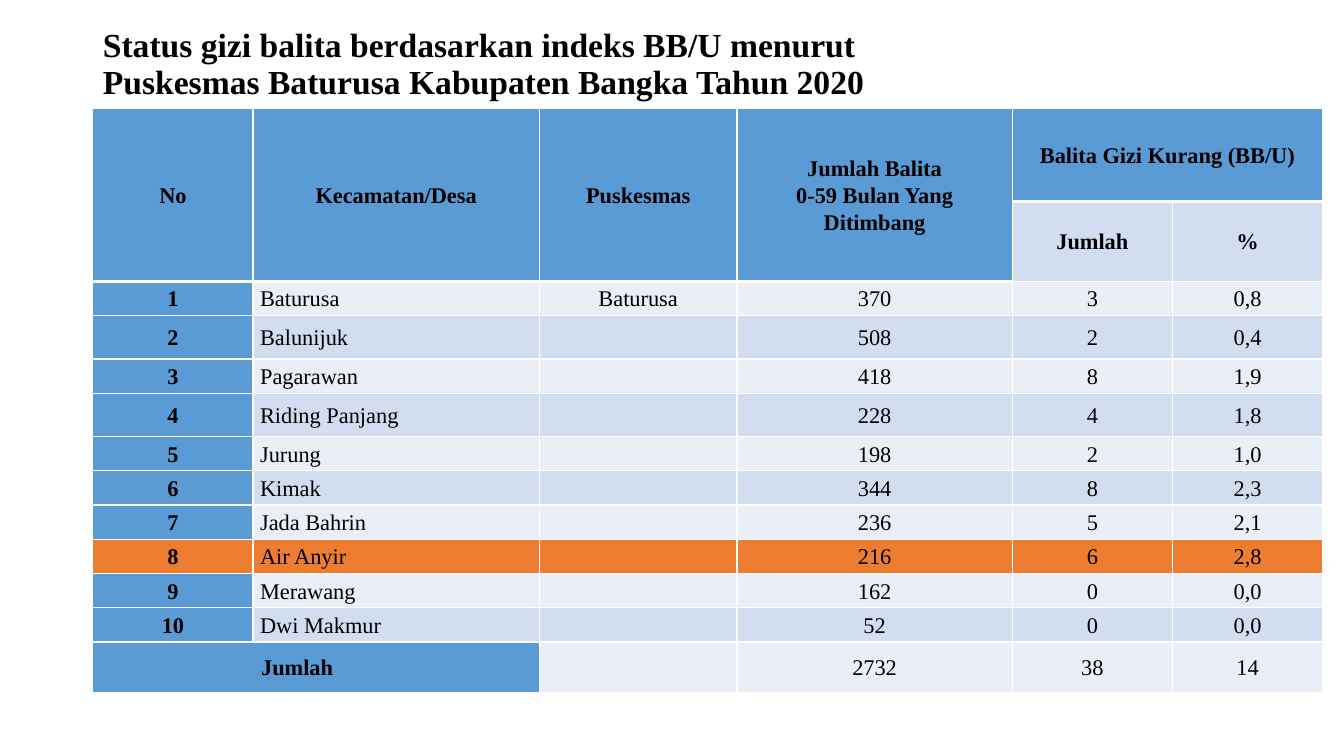
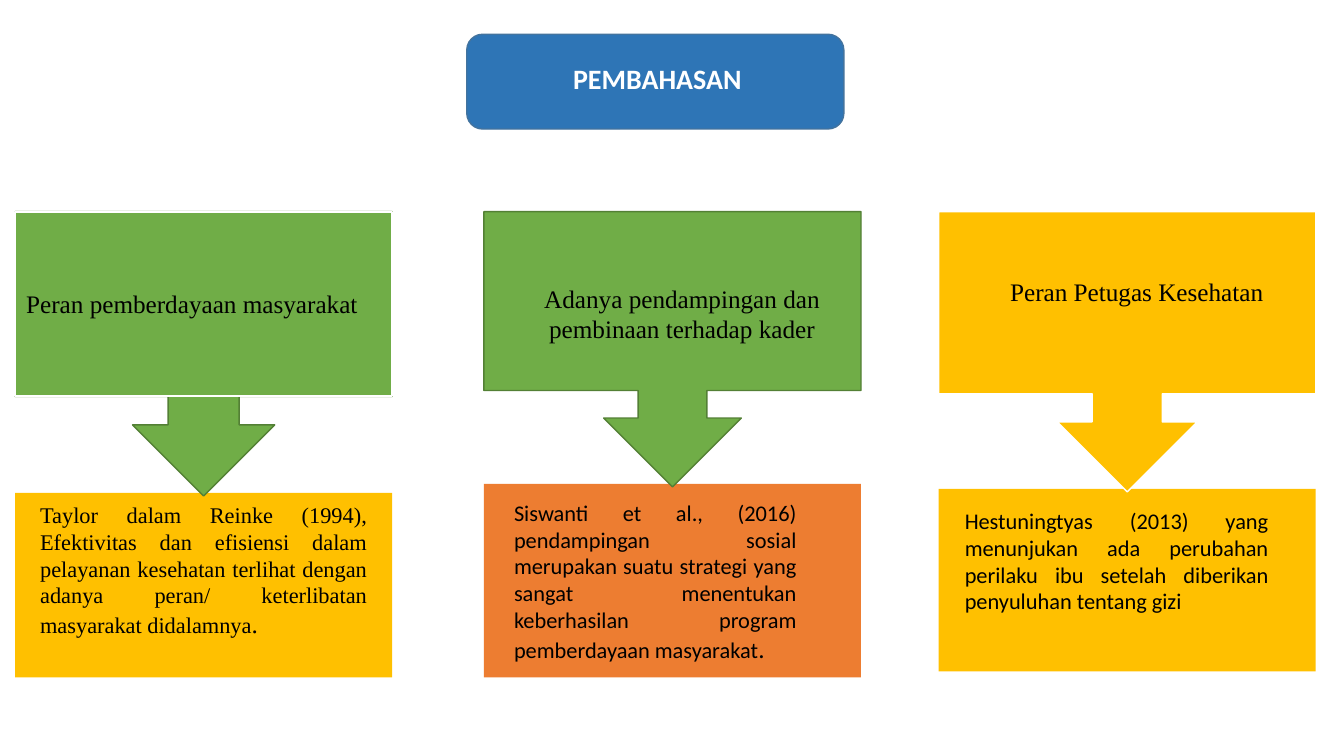
from dataclasses import dataclass

from lxml.etree import SubElement
from pptx import Presentation
from pptx.dml.color import RGBColor
from pptx.enum.shapes import MSO_SHAPE
from pptx.enum.text import MSO_ANCHOR, PP_ALIGN
from pptx.oxml.ns import qn
from pptx.util import Inches, Pt


@dataclass(frozen=True)
class Theme:
    # Colours
    black: str = "000000"
    white: str = "FFFFFF"
    blue: str = "5B9BD5"
    navy: str = "2E75B6"
    edge: str = "43739E"
    pale: str = "EAEFF7"
    mist: str = "D2DEEF"
    green: str = "70AD47"
    moss: str = "538035"
    gold: str = "FFC000"
    orange: str = "ED7D31"
    # Fonts and sizes
    serif: str = "Times New Roman"
    sans: str = "Calibri"
    head: int = 24
    banner: int = 20
    label: int = 18
    body: int = 16


LEFT, MID, FULL = PP_ALIGN.LEFT, PP_ALIGN.CENTER, PP_ALIGN.JUSTIFY
TOP, CENTER = MSO_ANCHOR.TOP, MSO_ANCHOR.MIDDLE
LOOK = Theme()


def write(frame, text, size=LOOK.body, font=LOOK.serif, color=LOOK.black,
          bold=False, align=LEFT, space=None, tail=""):
    """Fill a frame with one paragraph; tail is a larger closing run."""
    para = frame.paragraphs[0]
    para.text = text
    para.alignment = align
    para.line_spacing = space
    if tail:
        para.add_run().text = tail
    for run in para.runs:
        run.font.size = Pt(LOOK.label if tail and run.text == tail else size)
        run.font.name = font
        run.font.bold = bold
        run.font.color.rgb = RGBColor.from_string(color)


class Deck:
    def __init__(self, look):
        self.look = look
        self.file = Presentation()
        self.file.slide_width = Inches(13.33)
        self.file.slide_height = Inches(7.5)
        self.slide = None

    def start(self):
        self.slide = self.file.slides.add_slide(self.file.slide_layouts[5])

    def title(self, text, box, **form):
        head = self.slide.shapes.title
        head.left, head.top, head.width, head.height = map(Inches, box)
        head.text_frame.word_wrap = True
        head.text_frame.vertical_anchor = CENTER
        write(head.text_frame, text, bold=True, **form)
        return head

    def shape(self, kind, box, fill, line=None, width=1):
        item = self.slide.shapes.add_shape(kind, *map(Inches, box))
        item.shadow.inherit = False
        item.fill.solid()
        item.fill.fore_color.rgb = RGBColor.from_string(fill)
        if line:
            item.line.color.rgb = RGBColor.from_string(line)
            item.line.width = Pt(width)
        else:
            item.line.fill.background()
        return item

    def text(self, text, box, **form):
        frame = self.slide.shapes.add_textbox(*map(Inches, box)).text_frame
        frame.word_wrap = True
        frame.vertical_anchor = TOP
        write(frame, text, **form)

    def table(self, spot, cols, rows):
        grid = self.slide.shapes.add_table(
            len(rows), len(cols), *map(Inches, (*spot, sum(cols), sum(rows)))).table
        for col, width in zip(grid.columns, cols):
            col.width = Inches(width)
        for row, height in zip(grid.rows, rows):
            row.height = Inches(height)
        return grid

    def cell(self, cell, text, fill, base=1, indent=0.07, **form):
        """Style a cell; base is the weight of its lower border."""
        cell.margin_left, cell.margin_right = Inches(indent), Inches(0.07)
        cell.margin_top = cell.margin_bottom = 0
        cell.vertical_anchor = CENTER
        props = cell._tc.get_or_add_tcPr()
        for side, width in zip("LRTB", (1, 1, 1, base)):
            line = SubElement(props, qn(f"a:ln{side}"), w=str(Pt(width)))
            paint = SubElement(line, qn("a:solidFill"))
            SubElement(paint, qn("a:srgbClr"), val=self.look.white)
        cell.fill.solid()
        cell.fill.fore_color.rgb = RGBColor.from_string(fill)
        write(cell.text_frame, text, space=1.07, **form)

    def save(self):
        self.file.save("out.pptx")


HEADS = ("No", "Kecamatan/Desa", "Puskesmas",
         "Jumlah Balita\v0-59 Bulan Yang Ditimbang",
         "Balita Gizi Kurang (BB/U)", "")
DATA = (
    ("Baturusa", "Baturusa", "370", "3", "0,8"),
    ("Balunijuk", "", "508", "2", "0,4"),
    ("Pagarawan", "", "418", "8", "1,9"),
    ("Riding Panjang", "", "228", "4", "1,8"),
    ("Jurung", "", "198", "2", "1,0"),
    ("Kimak", "", "344", "8", "2,3"),
    ("Jada Bahrin", "", "236", "5", "2,1"),
    ("Air Anyir", "", "216", "6", "2,8"),
    ("Merawang", "", "162", "0", "0,0"),
    ("Dwi Makmur", "", "52", "0", "0,0"),
)
TOTAL = ("Jumlah", "", "", "2732", "38", "14")
PEAK = 8


def status(deck):
    look = deck.look
    deck.start()
    deck.title("Status gizi balita berdasarkan indeks BB/U menurut Puskesmas "
               "Baturusa Kabupaten Bangka Tahun 2020",
               (0.92, 0.21, 8.22, 0.87), size=look.head, space=0.9)

    tall = (2, 4)
    rows = [0.92, 0.79]
    rows += [0.43 if num in tall else 0.34 for num in range(1, len(DATA) + 1)]
    grid = deck.table((0.92, 1.08), (1.59, 2.84, 1.96, 2.73, 1.59, 1.49), rows + [0.5])

    # Two header rows
    for col, text in enumerate(HEADS):
        deck.cell(grid.cell(0, col), text, look.blue, base=3, bold=True, align=MID)
    for col, text in enumerate(("", "", "", "", "Jumlah", "%")):
        deck.cell(grid.cell(1, col), text, look.mist if text else look.blue,
                  base=1 if text else 3, bold=True, align=MID)
    for col in range(4):
        grid.cell(0, col).merge(grid.cell(1, col))
    grid.cell(0, 4).merge(grid.cell(0, 5))

    # Villages, with the highest share marked
    for num, row in enumerate(DATA, 1):
        band = look.pale if num % 2 else look.mist
        for col, text in enumerate((str(num), *row)):
            fill = look.orange if num == PEAK else band if col else look.blue
            deck.cell(grid.cell(num + 1, col), text, fill, bold=col == 0,
                      align=LEFT if col == 1 else MID)

    # Total row
    last = len(rows)
    for col, text in enumerate(TOTAL):
        name = col < 2
        deck.cell(grid.cell(last, col), text, look.blue if name else look.pale,
                  bold=name, align=LEFT if name else MID,
                  indent=1.67 if name else 0.07)
    grid.cell(last, 0).merge(grid.cell(last, 1))


def review(deck):
    look = deck.look
    deck.start()

    # Banner
    plate = deck.shape(MSO_SHAPE.ROUNDED_RECTANGLE, (4.63, 0.34, 3.74, 0.94),
                       look.navy, look.edge)
    head = deck.title("PEMBAHASAN", (4.91, 0.56, 3.22, 0.44), size=look.banner,
                      font=look.sans, color=look.white, align=MID)
    plate.element.addnext(head.element)

    # Callouts above their findings: left, callout height and colours,
    # then finding top, height and colour
    top, wide = 2.1, 3.74
    for left, high, fill, line, low, deep, base in (
            (0.15, 2.82, look.green, look.moss, 4.89, 1.83, look.gold),
            (4.8, 2.73, look.green, look.moss, 4.8, 1.92, look.orange),
            (9.31, 2.78, look.gold, look.white, 4.85, 1.81, look.gold)):
        deck.shape(MSO_SHAPE.RECTANGLE, (left, low, wide, deep), base)
        arrow = deck.shape(MSO_SHAPE.DOWN_ARROW_CALLOUT,
                           (left, top, wide, high), fill, line)
        for spot, value in enumerate((0.25, 0.25, 0.25, 0.65)):
            arrow.adjustments[spot] = value

    # Callout labels
    card = deck.shape(MSO_SHAPE.RECTANGLE, (0.15, top, wide, 1.83),
                      look.green, look.white, 1.5)
    frame = card.text_frame
    frame.word_wrap = True
    frame.vertical_anchor = CENTER
    frame.margin_left = frame.margin_right = Inches(0.11)
    write(frame, "Peran pemberdayaan masyarakat", size=look.label)
    for text, box in (
            ("Adanya pendampingan dan pembinaan terhadap kader", (5, 2.76, 3.53, 0.71)),
            ("Peran Petugas Kesehatan", (9.51, 2.69, 3.53, 0.4))):
        deck.text(text, box, size=look.label, align=MID)

    # Findings
    for text, tail, box, font in (
            ("Taylor dalam Reinke (1994), Efektivitas dan efisiensi dalam pelayanan "
             "kesehatan terlihat dengan adanya peran/ keterlibatan masyarakat "
             "didalamnya", ".", (0.3, 4.92, 3.44, 1.48), look.serif),
            ("Siswanti et al., (2016) pendampingan sosial merupakan suatu strategi "
             "yang sangat menentukan keberhasilan program pemberdayaan masyarakat",
             ".", (5, 4.9, 3, 1.75), look.sans),
            ("Hestuningtyas (2013) yang menunjukan ada perubahan perilaku ibu "
             "setelah diberikan penyuluhan tentang gizi",
             "", (9.47, 4.98, 3.21, 1.18), look.sans)):
        deck.text(text, box, font=font, align=FULL, tail=tail)


def main():
    deck = Deck(LOOK)
    status(deck)
    review(deck)
    deck.save()


if __name__ == "__main__":
    main()
